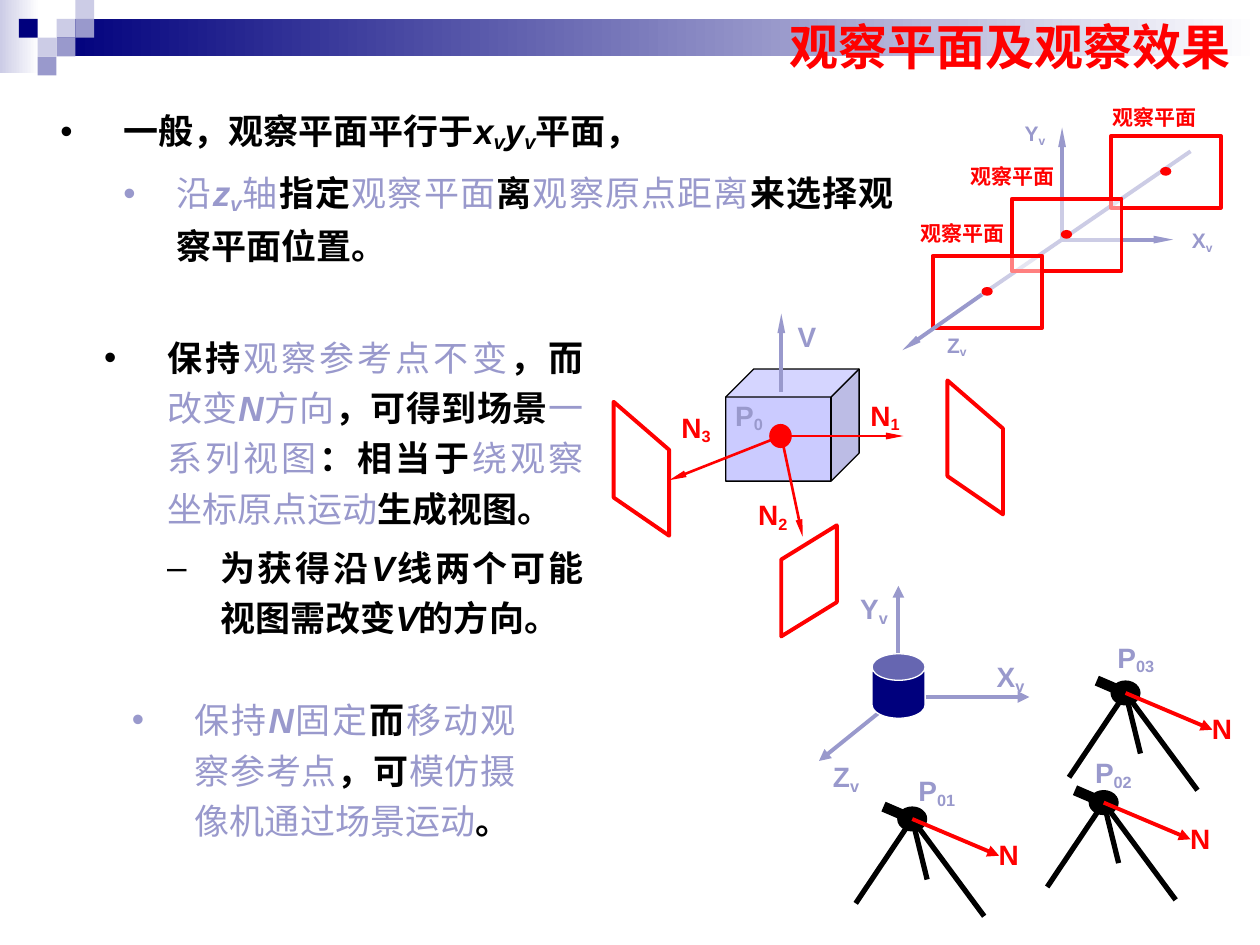
from dataclasses import dataclass

from pptx import Presentation
from pptx.dml.color import RGBColor
from pptx.enum.lang import MSO_LANGUAGE_ID
from pptx.enum.shapes import MSO_CONNECTOR, MSO_SHAPE
from pptx.enum.text import MSO_ANCHOR, MSO_AUTO_SIZE, PP_ALIGN
from pptx.oxml.ns import qn
from pptx.util import Cm, Pt
from lxml.etree import SubElement


@dataclass(frozen=True)
class Theme:
    """Colours, font and type sizes of the slide."""
    font: str = "Arial"
    navy: str = "00007D"
    mauve: str = "9999CC"
    pale: str = "CCCCE6"
    cube: str = "9999FF"
    red: str = "FF0000"
    black: str = "000000"
    white: str = "FFFFFF"
    title: int = 28
    body: int = 20
    label: int = 16
    small: int = 12


T = Theme()
INK = {"k": T.black, "m": T.mauve, "r": T.red}


def rgb(color):
    """Turn a hex string into a colour."""
    return RGBColor.from_string(color)


def add_runs(p, runs, size):
    """Add runs styled by letters: k/m/r ink, b bold, i italic, s subscript."""
    for text, style in runs:
        r = p.add_run()
        r.text = text
        r.font.name, r.font.size = T.font, Pt(size)
        r.font.color.rgb = rgb(INK[style[0]])
        r.font.bold, r.font.italic = "b" in style, "i" in style
        r.font.language_id = MSO_LANGUAGE_ID.SIMPLIFIED_CHINESE
        if "s" in style:
            r.font._element.set("baseline", "-16000")


def symbol(letter, sub="", ink="m"):
    """Return the runs of a bold symbol with an optional subscript."""
    runs = [(letter, ink + "b"), (sub, ink + "bs")]
    return runs if sub else runs[:1]


def add_label(s, x, y, w, runs, size=T.label):
    """Add a centred diagram label."""
    sp = s.shapes.add_textbox(Cm(x), Cm(y), Cm(w), Cm(size * 0.062))
    tf = sp.text_frame
    tf.word_wrap, tf.auto_size = True, MSO_AUTO_SIZE.SHAPE_TO_FIT_TEXT
    p = tf.paragraphs[0]
    p.alignment, p.space_before = PP_ALIGN.CENTER, Pt(size * 0.625)
    add_runs(p, runs, size)


def add_bullets(s, x, y, w, h, items):
    """Add a justified list of (level, bullet, runs) items."""
    sp = s.shapes.add_textbox(Cm(x), Cm(y), Cm(w), Cm(h))
    tf = sp.text_frame
    tf.word_wrap = True
    for i, (level, bullet, runs) in enumerate(items):
        p = tf.add_paragraph() if i else tf.paragraphs[0]
        p.level, p.alignment, p.line_spacing = level, PP_ALIGN.JUSTIFY, 1.2
        p.space_before, p.space_after = Pt(3.7), Pt(1.2)
        margin, indent = ((1.27, -1.27), (2.34, -1.07))[level]
        pPr = p._p.get_or_add_pPr()
        pPr.set("marL", str(Cm(margin)))
        pPr.set("indent", str(Cm(indent)))
        clr = SubElement(pPr, qn("a:buClr"))
        SubElement(clr, qn("a:srgbClr"), val=INK[runs[0][1][0]])
        SubElement(pPr, qn("a:buFont"), typeface=T.font)
        SubElement(pPr, qn("a:buChar"), char=bullet)
        add_runs(p, runs, T.body)


def paint(sp, fill, line=None, width=0.75, alpha=None):
    """Set the fill, outline and transparency of a shape."""
    sp.shadow.inherit = False
    sp.fill.solid()
    sp.fill.fore_color.rgb = rgb(fill)
    if alpha:
        clr = sp._element.spPr.find(qn("a:solidFill"))[0]
        SubElement(clr, qn("a:alpha"), val=str(alpha * 1000))
    if line:
        sp.line.color.rgb, sp.line.width = rgb(line), Pt(width)
    else:
        sp.line.fill.background()


def add_preset(s, kind, x, y, w, h, fill, line=None, width=0.75, alpha=None):
    """Add a painted preset shape."""
    sp = s.shapes.add_shape(kind, Cm(x), Cm(y), Cm(w), Cm(h))
    paint(sp, fill, line, width, alpha)
    return sp


def add_line(s, start, end, color, width=2.25, head=None):
    """Add a straight line with an optional (width, length) arrowhead."""
    cx = s.shapes.add_connector(MSO_CONNECTOR.STRAIGHT, *map(Cm, start + end))
    cx.line.color.rgb, cx.line.width = rgb(color), Pt(width)
    if head:
        SubElement(cx.line._get_or_add_ln(), qn("a:tailEnd"), type="triangle", w=head[0], len=head[1])
    SubElement(cx._element.spPr, qn("a:effectLst"))


def add_plane(s, x, y, offsets):
    """Add a slanted translucent view plane."""
    points = [(Cm(x + dx), Cm(y + dy)) for dx, dy in offsets]
    fb = s.shapes.build_freeform(*points[0])
    fb.add_line_segments(points[1:], close=True)
    paint(fb.convert_to_shape(), T.white, T.red, 2.25, 50)


def add_header(s):
    """Add the gradient bands and the mosaic of squares."""
    for box, color in (((0, 0, 0.79, 1.47), T.pale), ((1.14, 0.38, 24.26, 0.76), T.navy)):
        sp = add_preset(s, MSO_SHAPE.RECTANGLE, *box, color)
        sp.fill.gradient()
        sp.fill.gradient_angle = 0
        for stop, c in zip(sp.fill.gradient_stops, (color, T.white)):
            stop.color.rgb = rgb(c)
    squares = {T.pale: ((3, 1), (4, 0), (2, 2)), T.mauve: ((4, 1), (3, 2), (2, 3)), T.navy: ((1, 1),)}
    for color, cells in squares.items():
        for col, row in cells:
            add_preset(s, MSO_SHAPE.RECTANGLE, col * 0.38, row * 0.38, 0.38, 0.38, color)


def add_title(s, text):
    """Place and format the title above the header."""
    sp = s.shapes.title
    s.shapes._spTree.append(sp._element)
    sp.left, sp.top, sp.width, sp.height = Cm(15.67), Cm(0.2), Cm(9.53), Cm(1.47)
    tf = sp.text_frame
    tf.word_wrap, tf.auto_size = True, MSO_AUTO_SIZE.NONE
    tf.vertical_anchor = MSO_ANCHOR.MIDDLE
    tf.paragraphs[0].alignment = PP_ALIGN.LEFT
    add_runs(tf.paragraphs[0], [(text, "rb")], T.title)


def add_axis_planes(s):
    """Draw three view planes along the z axis."""
    def plane(x, y):
        """Add one plane with its centre dot."""
        add_preset(s, MSO_SHAPE.RECTANGLE, x, y, 2.21, 1.45, T.white, T.red, 2.25, 50)
        add_preset(s, MSO_SHAPE.OVAL, x + 1, y + 0.64, 0.2, 0.15, T.red, T.red)

    slim = ("sm", "lg")
    add_line(s, (19.79, 5.94), (24, 3.05), T.mauve)
    plane(22.4, 2.74)
    for end in ((21.41, 2.57), (23.65, 4.83)):
        add_line(s, (21.41, 4.83), end, T.mauve, head=slim)
    plane(20.4, 4.01)
    plane(18.8, 5.16)
    add_line(s, (19.79, 5.94), (18.19, 7.06), T.mauve, head=slim)
    for axis, x, y, w in (("X", 23.6, 4.47, 1.27), ("Y", 20.27, 2.31, 1.19), ("Z", 18.39, 6.58, 1.8)):
        add_label(s, x, y, w, symbol(axis, "v"), T.small)
    for x, y in ((18.19, 4.32), (19.2, 3.17), (22.07, 1.98)):
        add_label(s, x, y, 2.41, symbol("观察平面", ink="r"), T.small)


def add_cube_views(s):
    """Draw the cube with its normals and view planes."""
    side = ((0, 0), (0, 1.93), (1.12, 2.7), (1.12, 0.97))
    add_plane(s, 19.1, 7.67, side)
    add_plane(s, 15.75, 11.28, ((0, 0), (0, 1.55), (1.12, 0.86), (1.12, -0.69)))
    add_plane(s, 12.37, 8.1, side)
    add_preset(s, MSO_SHAPE.CUBE, 14.63, 7.44, 2.69, 2.26, T.cube, T.black, alpha=50)
    add_line(s, (15.75, 7.9), (15.75, 6.32), T.mauve, head=("sm", "lg"))
    add_preset(s, MSO_SHAPE.OVAL, 15.52, 8.56, 0.43, 0.46, T.red, T.red)
    for end in ((16.18, 10.82), (18.21, 8.79), (13.49, 9.68)):
        add_line(s, (15.75, 8.79), end, T.red, 1.5, ("sm", "lg"))
    labels = (("V", "", "m", 15.52, 6.32), ("N", "1", "r", 17.09, 7.9), ("N", "2", "r", 14.83, 9.91),
              ("N", "3", "r", 13.28, 8.15), ("P", "0", "m", 14.35, 7.9))
    for letter, sub, ink, x, y in labels:
        add_label(s, x, y, 1.5, symbol(letter, sub, ink))


def add_can_axes(s):
    """Draw the cylinder at the origin of its axes."""
    for end in ((18.11, 11.81), (20.75, 14.05), (16.51, 15.34)):
        add_line(s, (18.11, 14.05), end, T.mauve, head=("med", "med"))
    for axis, x, y, w in (("X", 19.81, 13.18, 1.12), ("Y", 16.97, 11.81, 1.3), ("Z", 16.51, 15.19, 1.09)):
        add_label(s, x, y, w, symbol(axis, "v"))
    sp = add_preset(s, MSO_SHAPE.CAN, 17.58, 13.18, 1.07, 1.3, T.navy, T.white)
    sp.adjustments[0] = 0.5


def add_camera(s, x, y, number, label_x, label_y):
    """Draw a tripod camera whose head is centred at x, y."""
    for dx, dy, width in ((-1.14, 1.7, 3), (0.3, 1.22, 3), (1.45, 1.96, 3), (-0.58, -0.25, 6)):
        add_line(s, (x, y), (x + dx, y + dy), T.black, width)
    add_preset(s, MSO_SHAPE.OVAL, x - 0.29, y - 0.24, 0.58, 0.48, T.black, T.black)
    add_line(s, (x, y), (x + 1.75, y + 0.74), T.red, head=("med", "med"))
    add_label(s, x + 1.17, y + 0.25, 1.55, symbol("N", ink="r"))
    add_label(s, label_x, label_y, 1.55, symbol("P", number))


def main():
    """Build and save the slide."""
    prs = Presentation()
    prs.slide_width, prs.slide_height = Cm(25.4), Cm(19.05)
    s = prs.slides.add_slide(prs.slide_layouts[5])
    add_header(s)
    add_title(s, "观察平面及观察效果")
    add_axis_planes(s)
    add_bullets(s, 0.97, 1.9, 17.3, 3.56, [
        (0, "•", [("一般，观察平面平行于", "kb"), ("x", "kbi"), ("v", "kbis"), ("y", "kbi"), ("v", "kbis"),
                  ("平面，", "kb")]),
        (1, "•", [("沿", "m"), ("z", "mbi"), ("v", "mbis"), ("轴", "m"), ("指定", "kb"), ("观察平面", "m"),
                  ("离", "kb"), ("观察原点距离", "m"), ("来选择观察平面位置。", "kb")])])
    add_cube_views(s)
    add_bullets(s, 1.85, 6.48, 10.16, 6.6, [
        (0, "•", [("保持", "kb"), ("观察参考点不变", "m"), ("，而", "kb"), ("改变", "m"), ("N", "mbi"),
                  ("方向", "m"), ("，可得到场景", "kb"), ("一系列视图", "m"), ("：相当于", "kb"),
                  ("绕观察坐标原点运动", "m"), ("生成视图。", "kb")]),
        (1, "–", [("为获得沿", "kb"), ("V", "kbi"), ("线两个可能视图需改变", "kb"), ("V", "kbi"),
                  ("的方向。", "kb")])])
    add_can_axes(s)
    add_camera(s, 18.39, 16.51, "01", 18.11, 15.47)
    add_camera(s, 22.25, 16.18, "02", 21.67, 15.11)
    add_camera(s, 22.69, 13.97, "03", 22.12, 12.78)
    add_bullets(s, 2.41, 13.79, 8.23, 3.45, [
        (0, "•", [("保持", "m"), ("N", "mbi"), ("固定", "m"), ("而", "kb"), ("移动观察参考点", "m"),
                  ("，可", "kb"), ("模仿摄像机通过场景运动", "m"), ("。", "kb")])])
    prs.save("out.pptx")


if __name__ == "__main__":
    main()
